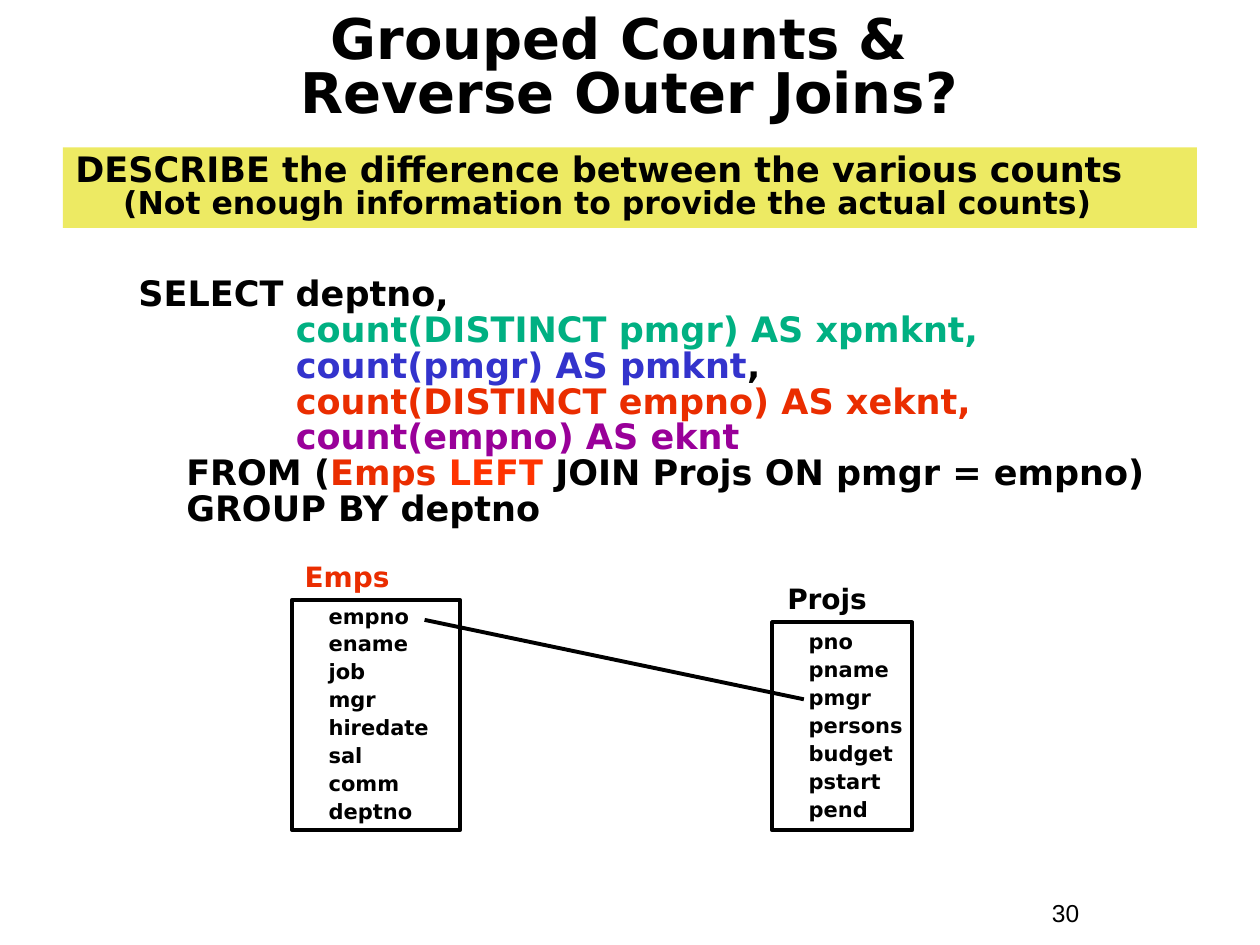
from dataclasses import dataclass

from lxml.etree import SubElement
from pptx import Presentation
from pptx.dml.color import RGBColor
from pptx.enum.shapes import MSO_CONNECTOR, MSO_SHAPE
from pptx.enum.text import MSO_ANCHOR, PP_ALIGN
from pptx.oxml.ns import qn
from pptx.util import Inches, Pt


@dataclass(frozen=True)
class Theme:
    font: str = "DejaVu Sans"
    number_font: str = "Arial"
    black: str = "000000"
    band: str = "EDEA63"
    green: str = "00B082"
    blue: str = "3333CC"
    red: str = "EA2D00"
    bright_red: str = "FF3300"
    purple: str = "990099"
    title: int = 32
    body: int = 20
    note: int = 18
    label: int = 16
    number: int = 14
    column: int = 12
    line: float = 2.25


T = Theme()


def set_attrs(obj, values):
    for name, value in values.items():
        setattr(obj, name, value)


def add_runs(p, runs, size, font=T.font, bold=True):
    """Add (text, colour) runs to a paragraph."""
    for text, color in runs:
        r = p.add_run()
        r.text = text
        set_attrs(r.font, {"size": Pt(size), "name": font, "bold": bold})
        r.font.color.rgb = RGBColor.from_string(color)


def add_paragraph(tf, first, runs, size, indent=0, hanging=0, **fmt):
    p = tf.paragraphs[0] if first else tf.add_paragraph()
    set_attrs(p, {"alignment": PP_ALIGN.LEFT, **fmt})
    pPr = p._p.get_or_add_pPr()
    pPr.set("marL", str(Inches(indent)))
    pPr.set("indent", str(Inches(hanging)))
    add_runs(p, runs, size)
    return p


def add_text_box(s, box):
    tf = s.shapes.add_textbox(*map(Inches, box)).text_frame
    tf.word_wrap = True
    return tf


def add_rect(s, box, fill=None, line=None):
    sp = s.shapes.add_shape(MSO_SHAPE.RECTANGLE, *map(Inches, box))
    sp.shadow.inherit = False
    if fill:
        sp.fill.solid()
        sp.fill.fore_color.rgb = RGBColor.from_string(fill)
    else:
        sp.fill.background()
    if line:
        sp.line.color.rgb = RGBColor.from_string(line)
        sp.line.width = Pt(T.line)
    else:
        sp.line.fill.background()
    sp.text_frame.word_wrap = True
    return sp.text_frame


def add_title(s, box):
    tf = add_text_box(s, box)
    tf.vertical_anchor = MSO_ANCHOR.MIDDLE
    p = add_paragraph(tf, True, [("Grouped Counts & ", T.black)], T.title,
                      alignment=PP_ALIGN.CENTER, line_spacing=0.8)
    p.add_line_break()
    add_runs(p, [("Reverse Outer Joins?", T.black)], T.title)


def add_task_band(s, box):
    tf = add_rect(s, box, fill=T.band)
    tf.vertical_anchor = MSO_ANCHOR.TOP
    p = add_paragraph(
        tf, True,
        [("DESCRIBE the difference between the various counts", T.black)],
        T.body, 0.38, -0.38, line_spacing=0.85, space_before=Pt(11.2))
    p.add_line_break()
    add_runs(p, [("(Not enough information to provide the actual counts)",
                  T.black)], T.note)


def add_query(s, box):
    clause, column = 0.38, 1.25
    lines = [
        (0, [("SELECT deptno,", T.black)]),
        (column, [("count(DISTINCT pmgr) AS xpmknt,", T.green)]),
        (column, [("count(pmgr) AS pmknt", T.blue), (",", T.black)]),
        (column, [("count(DISTINCT empno) AS xeknt,", T.red)]),
        (column, [("count(empno) AS eknt", T.purple)]),
        (clause, [("FROM (", T.black), ("Emps ", T.red),
                  ("LEFT", T.bright_red),
                  (" JOIN Projs ON pmgr = empno)", T.black)]),
        (clause, [("GROUP BY deptno", T.black)]),
    ]
    tf = add_text_box(s, box)
    for i, (indent, runs) in enumerate(lines):
        add_paragraph(tf, i == 0, runs, T.body, indent,
                      line_spacing=0.85, space_before=Pt(0))


def add_entity(s, box, label_left, name, color, columns):
    """Draw a database table: its name above a box of column names."""
    label_height = 0.34
    tf = add_text_box(s, (label_left, box[1] - label_height, 1.36, label_height))
    add_paragraph(tf, True, [(name, color)], T.label,
                  line_spacing=0.9, space_before=Pt(4))
    tf = add_rect(s, box, line=T.black)
    set_attrs(tf, {"vertical_anchor": MSO_ANCHOR.MIDDLE, "margin_right": 0})
    for i, column in enumerate(columns):
        add_paragraph(tf, i == 0, [(column, T.black)], T.column, 0.19,
                      line_spacing=0.9, space_before=Pt(3))


def add_join_line(s, start, end):
    c = s.shapes.add_connector(MSO_CONNECTOR.STRAIGHT,
                               *map(Inches, (*start, *end)))
    c.line.color.rgb = RGBColor.from_string(T.black)
    c.line.width = Pt(T.line)
    SubElement(c._element.spPr, qn("a:effectLst"))


def add_page_number(s, box):
    p = add_text_box(s, box).paragraphs[0]
    add_runs(p, [("30", T.black)], T.number, T.number_font, False)


def main():
    prs = Presentation()
    prs.slide_width, prs.slide_height = Inches(10), Inches(7.5)
    s = prs.slides.add_slide(prs.slide_layouts[6])

    # Heading and task
    add_page_number(s, (8.25, 7.08, 0.92, 0.34))
    add_title(s, (0.33, 0.1, 9.33, 0.92))
    add_task_band(s, (0.5, 1.17, 9, 0.64))

    # Tables and the join between them
    add_entity(s, (2.32, 4.76, 1.33, 1.83), 2.32, "Emps", T.red,
               ["empno", "ename", "job", "mgr", "hiredate", "sal", "comm",
                "deptno"])
    add_entity(s, (6.13, 4.94, 1.11, 1.65), 6.15, "Projs", T.black,
               ["pno", "pname", "pmgr", "persons", "budget", "pstart", "pend"])
    add_join_line(s, (3.37, 4.92), (6.38, 5.55))

    # Query
    add_query(s, (1, 2.16, 8.42, 2.09))

    prs.save("out.pptx")


if __name__ == "__main__":
    main()
